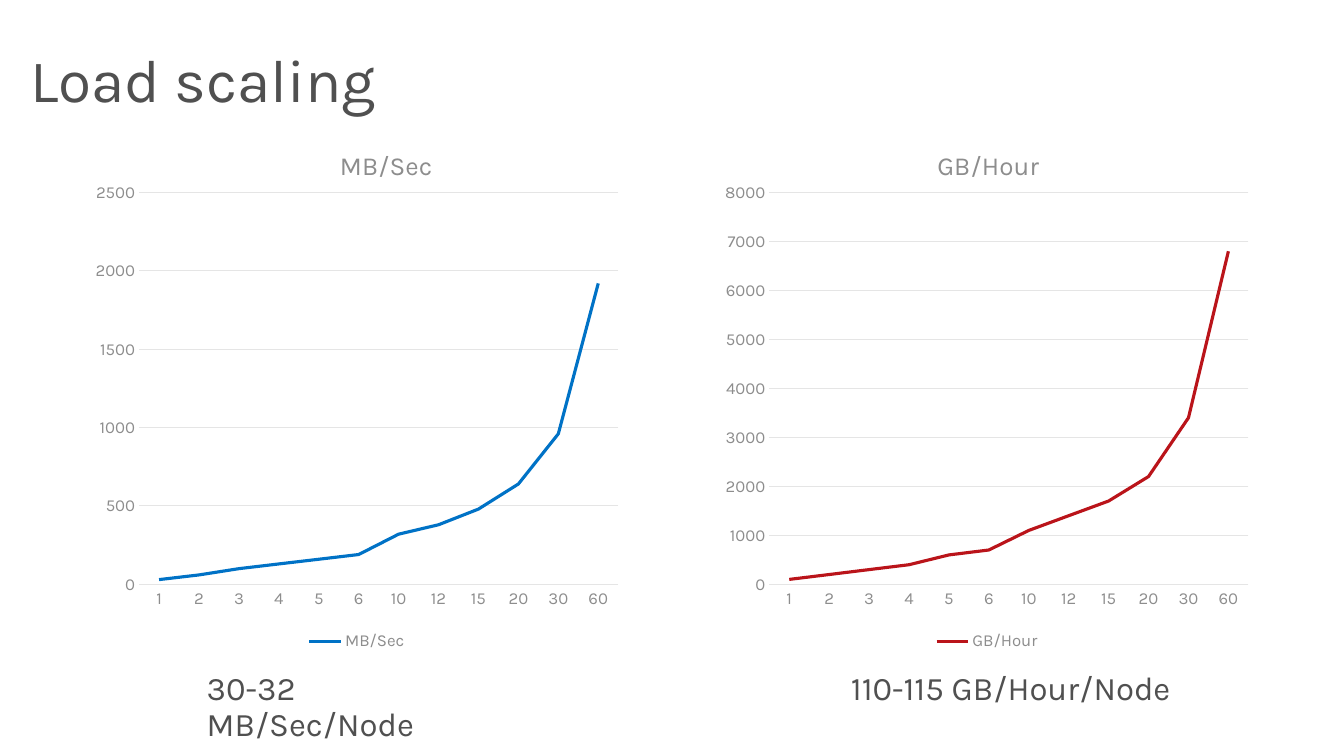
from lxml import etree
from pptx import Presentation
from pptx.chart.data import CategoryChartData
from pptx.dml.color import RGBColor
from pptx.enum.chart import XL_CHART_TYPE as CHART, XL_LEGEND_POSITION as LEGEND, XL_TICK_MARK as TICK
from pptx.enum.text import MSO_ANCHOR as ANCHOR, MSO_AUTO_SIZE as AUTO, PP_ALIGN as ALIGN
from pptx.oxml.ns import qn
from pptx.util import Inches, Pt

FONT = "Karla"
DARK, GREY, GRID = "505050", "8D8D8D", "E5E5E5"
NODES = ["1", "2", "3", "4", "5", "6", "10", "12", "15", "20", "30", "60"]
MB_SEC = [30, 60, 100, 130, 160, 190, 320, 380, 480, 640, 960, 1920]
GB_HOUR = [100, 200, 300, 400, 600, 700, 1100, 1400, 1700, 2200, 3400, 6800]


def rgb(color):
    return RGBColor.from_string(color)


def set_font(font, size, color):
    font.name, font.size, font.bold = FONT, Pt(size), False
    font.color.rgb = rgb(color)


def set_line(line, color, width):
    line.color.rgb = rgb(color)
    line.width = Pt(width)


def write(tf, text, size, insets):
    tf.margin_left, tf.margin_top, tf.margin_right, tf.margin_bottom = map(Inches, insets)
    tf.word_wrap = True
    p = tf.paragraphs[0]
    p.alignment = ALIGN.LEFT
    p.line_spacing = 0.9
    r = p.add_run()
    r.text = text
    set_font(r.font, size, DARK)
    return p


def set_layout(parent, index, **values):
    """Give a chart part a manual layout, as fractions of the chart."""
    for old in parent.findall(qn("c:layout")):
        parent.remove(old)
    layout = etree.Element(qn("c:layout"))
    manual = etree.SubElement(layout, qn("c:manualLayout"))
    for name, value in values.items():
        etree.SubElement(manual, qn("c:" + name)).set("val", str(value))
    parent.insert(index, layout)


def add_chart_title(chart, text, x, y):
    title = chart.chart_title
    r = title.text_frame.paragraphs[0].add_run()
    r.text = text
    set_font(r.font, 18.6, GREY)
    el = title._element
    set_layout(el, 1, xMode="edge", yMode="edge", x=x, y=y)
    el.find(qn("c:overlay")).set("val", "1")


def style_axes(chart, top):
    for axis in (chart.category_axis, chart.value_axis):
        axis.major_tick_mark = axis.minor_tick_mark = TICK.NONE
        set_font(axis.tick_labels.font, 12, GREY)
    set_line(chart.category_axis.format.line, GRID, 0.75)
    values = chart.value_axis
    values.format.line.fill.background()
    values.minimum_scale, values.maximum_scale = 0, top
    values.has_major_gridlines = True
    set_line(values.major_gridlines.format.line, GRID, 0.75)
    values.tick_labels.number_format = "0"
    values.tick_labels.number_format_is_linked = False


def add_line_chart(s, left, name, values, color, top, title_at):
    data = CategoryChartData()
    data.categories = NODES
    data.add_series(name, values)
    chart = s.shapes.add_chart(CHART.LINE, Inches(left), Inches(1.1),
                               Inches(5.4), Inches(5.4), data).chart
    set_font(chart.font, 10, DARK)
    add_chart_title(chart, name, *title_at)
    style_axes(chart, top)
    chart.has_legend = True
    chart.legend.position = LEGEND.BOTTOM
    chart.legend.include_in_layout = False
    set_font(chart.legend.font, 12, GREY)
    plot = chart.plots[0]
    plot.vary_by_categories = False
    plot.series[0].smooth = False
    set_line(plot.series[0].format.line, color, 2.25)
    set_layout(plot._element.getparent(), 0, layoutTarget="inner", xMode="edge",
               yMode="edge", x=0.1, y=0.15, w=0.88, h=0.72)


def add_caption(s, left, width, text):
    tf = s.shapes.add_textbox(Inches(left), Inches(6.51), Inches(width), Inches(0.67)).text_frame
    p = write(tf, text, 23.5, (0.2, 0.16, 0.2, 0.16))
    p.space_after = Pt(5.9)
    tf.auto_size = AUTO.SHAPE_TO_FIT_TEXT


def add_title(s, text):
    sp = s.shapes.title
    sp.left, sp.top, sp.width, sp.height = map(Inches, (0, 0, 13.33, 1.45))
    sp.text_frame.vertical_anchor = ANCHOR.MIDDLE
    sp.text_frame.auto_size = AUTO.NONE
    write(sp.text_frame, text, 43.1, (0.3, 0.25, 0.1, 0.05))


def main():
    prs = Presentation()
    prs.slide_width, prs.slide_height = Inches(13.33), Inches(7.5)
    s = prs.slides.add_slide(prs.slide_layouts[5])
    add_title(s, "Load scaling")
    add_line_chart(s, 0.84, "MB/Sec", MB_SEC, "0072C6", 2500, (0.46, 0.06))
    add_line_chart(s, 7.09, "GB/Hour", GB_HOUR, "BA141A", 8000, (0.4, 0.06))
    add_caption(s, 1.85, 3.38, "30-32 MB/Sec/Node")
    add_caption(s, 8.24, 3.9, "110-115 GB/Hour/Node")
    prs.save("out.pptx")


if __name__ == "__main__":
    main()
